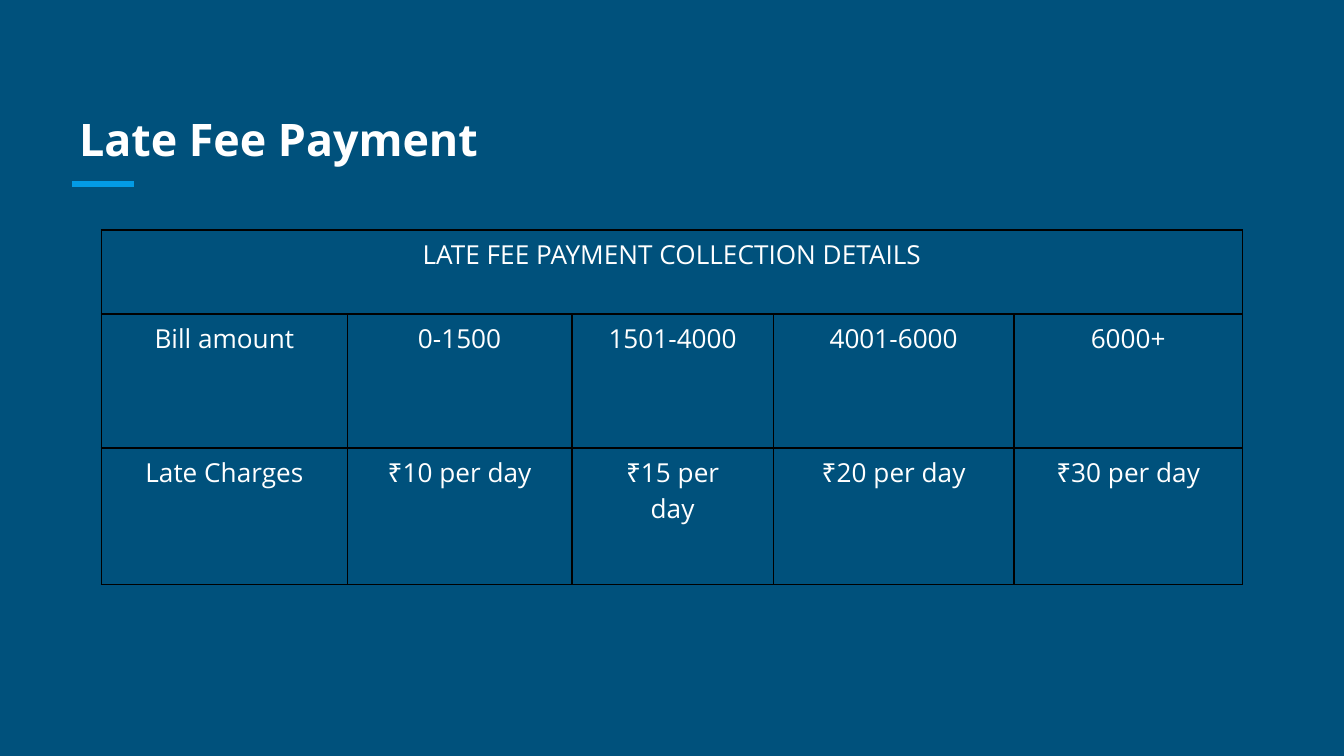
from lxml import etree
from pptx import Presentation
from pptx.dml.color import RGBColor
from pptx.enum import shapes, text
from pptx.oxml import ns
from pptx.util import Inches, Pt

WIDE = Inches(10)
HIGH = WIDE * 9 // 16
GRID = 100  # grid columns across the slide; rows have the same size
FONT = "Open Sans"
HUES = {"back": "00517C", "mark": "039BE5", "ink": "FFFFFF", "rule": "000000"}
HEAD = "LATE FEE PAYMENT COLLECTION DETAILS"
ROWS = [
    ["Bill amount", "0-1500", "1501-4000", "4001-6000", "6000+"],
    ["Late Charges", "₹10 per day", "₹15 per day", "₹20 per day", "₹30 per day"],
]
COLS = [1.83, 1.67, 1.5, 1.79, 1.7]  # relative widths
TALL = [0.63, 1, 1.02]  # relative heights


def hue(name):
    return RGBColor.from_string(HUES[name])


def area(*cells):
    """Turn grid columns and rows into a box."""
    return [int(n * WIDE / GRID) for n in cells]


def style(para, size, bold=False):
    for run in para.runs:
        font = run.font
        font.name, font.size, font.bold = FONT, Pt(size), bold
        font.color.rgb = hue("ink")


def edge(cell):
    """Draw a thin rule on all four sides of a cell."""
    props = cell._tc.get_or_add_tcPr()
    for i, side in enumerate(("lnL", "lnR", "lnT", "lnB")):
        line = etree.Element(ns.qn("a:" + side), w=str(Pt(0.96)))
        fill = etree.SubElement(line, ns.qn("a:solidFill"))
        etree.SubElement(fill, ns.qn("a:srgbClr"), val=HUES["rule"])
        props.insert(i, line)


def title(slide, box, words):
    x, y, w, h = box
    # Accent rule below the heading
    left, base = x + int(0.01 * w), y + int(1.05 * h)
    rule = slide.shapes.add_connector(
        shapes.MSO_CONNECTOR.STRAIGHT, left, base, left + int(0.1 * w), base)
    rule.line.color.rgb = hue("mark")
    rule.line.width = Pt(3)
    etree.SubElement(rule._element.spPr, ns.qn("a:effectLst"))
    # Heading
    frame = slide.shapes.add_textbox(x, y, w, h).text_frame
    frame.word_wrap = True
    frame.margin_left = frame.margin_right = Inches(0.1)
    frame.margin_top = frame.margin_bottom = Inches(0.1)
    frame.text = words
    para = frame.paragraphs[0]
    para.line_spacing = 1.5
    para.space_before = para.space_after = Pt(11)
    style(para, 24, True)


def fees(slide, box):
    x, y, w, h = box
    table = slide.shapes.add_table(len(TALL), len(COLS), x, y, w, h).table
    table.first_row = table.horz_banding = False
    for col, share in zip(table.columns, COLS):
        col.width = int(w * share / sum(COLS))
    for row, share in zip(table.rows, TALL):
        row.height = int(h * share / sum(TALL))
    # Heading row spans all columns
    table.cell(0, 0).merge(table.cell(0, len(COLS) - 1))
    table.cell(0, 0).text = HEAD
    for r, line in enumerate(ROWS, 1):
        for c, words in enumerate(line):
            table.cell(r, c).text = words
    # Cell look
    for cell in table.iter_cells():
        cell.fill.background()
        cell.margin_left = cell.margin_right = Inches(0.07)
        cell.margin_top = cell.margin_bottom = Inches(0.05)
        edge(cell)
        para = cell.text_frame.paragraphs[0]
        para.alignment = text.PP_ALIGN.CENTER
        style(para, 14)
    # Wider margins wrap the narrow column's charge
    tight = table.cell(2, 2)
    tight.margin_left = tight.margin_right = Inches(0.28)


def main():
    deck = Presentation()
    deck.slide_width, deck.slide_height = WIDE, HIGH
    slide = deck.slides.add_slide(deck.slide_layouts[6])
    back = slide.background.fill
    back.solid()
    back.fore_color.rgb = hue("back")
    title(slide, area(4.9, 5.3, 46.4, 8), "Late Fee Payment")
    fees(slide, area(7.55, 17.1, 84.9, 26.4))
    deck.save("out.pptx")


if __name__ == "__main__":
    main()
